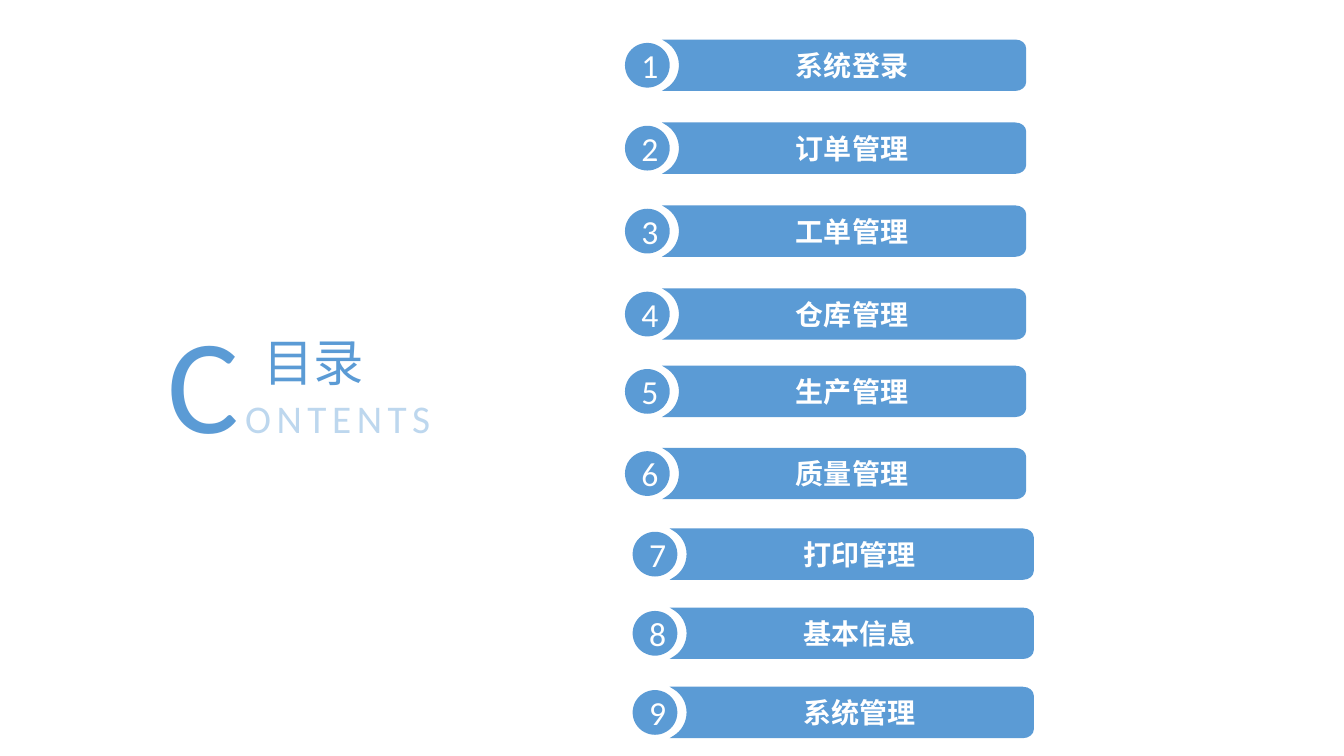
from pptx import Presentation
from pptx import util as u
from pptx.dml.color import RGBColor
from pptx.enum import shapes, text
from pptx.oxml.ns import qn

HUES = {"blue": "5B9BD5", "pale": "BDD7EE", "white": "FFFFFF"}
SANS, BOLD, HEAD = "Calibri", "Noto Sans CJK SC", "Noto Sans CJK JP"

deck = Presentation()
deck.slide_width, deck.slide_height = u.Inches(13.33), u.Inches(7.5)
COL, ROW = deck.slide_width / 100, deck.slide_height / 100

# Left, top and pitch of each run of entries, in columns and rows
RUNS = [
    (46.5, 5.23, 10.97, ["系统登录", "订单管理", "工单管理", "仓库管理"]),
    (46.5, 48.37, 10.87, ["生产管理", "质量管理"]),
    (47.07, 69.9, 10.47, ["打印管理", "基本信息", "系统管理"]),
]


def grid(x, y, w, h):
    return [round(n) for n in (x * COL, y * ROW, w * COL, h * ROW)]


def tint(hue):
    return RGBColor.from_string(HUES[hue])


def style(par, face, size, hue, bold=False):
    font = par.font
    font.name, font.size, font.bold = face, u.Pt(size), bold
    font.color.rgb = tint(hue)
    props = par._p.pPr.find(qn("a:defRPr"))
    east = props.makeelement(qn("a:ea"), {"typeface": face})
    props.find(qn("a:latin")).addnext(east)


def paint(shape, words, face, size, bold=False):
    shape.shadow.inherit = False
    shape.fill.solid()
    shape.fill.fore_color.rgb = tint("blue")
    shape.line.fill.background()
    frame = shape.text_frame
    frame.text = words
    frame.vertical_anchor = text.MSO_ANCHOR.MIDDLE
    par = frame.paragraphs[0]
    par.alignment = text.PP_ALIGN.CENTER
    style(par, face, size, "white", bold)
    return frame


def bend(shape, starts):
    """Join three line segments from each start into one Bézier curve."""
    lines = list(shape._element.iter(qn("a:lnTo")))
    for i in starts:
        curve = lines[i].makeelement(qn("a:cubicBezTo"), {})
        lines[i].addprevious(curve)
        for line in lines[i:i + 3]:
            curve.append(line[0])
            line.getparent().remove(line)


def entry(slide, box, num, words):
    x, y, w, h = box
    # Bar: rounded on the right, hollowed on the left around the badge
    end = w / h
    edge = [(end - 0.21, 0),
            (end - 0.09, 0), (end, 0.08), (end, 0.17),
            (end, 0.83),
            (end, 0.92), (end - 0.09, 1), (end - 0.21, 1),
            (0.72, 1), (0.8, 0.95),
            (0.95, 0.86), (1.05, 0.69), (1.05, 0.5),
            (1.05, 0.31), (0.95, 0.14), (0.8, 0.05)]
    pen = slide.shapes.build_freeform(x + 0.72 * h, y)
    pen.add_line_segments([(x + a * h, y + b * h) for a, b in edge], close=True)
    bar = pen.convert_to_shape()
    bend(bar, (1, 5, 10, 13))
    frame = paint(bar, words, BOLD, 20, True)
    frame.margin_left = u.Inches(0.2)
    frame.margin_top = frame.margin_right = frame.margin_bottom = u.Inches(0.04)
    # Numbered badge
    size = round(0.87 * h)
    badge = slide.shapes.add_shape(
        shapes.MSO_SHAPE.OVAL, x, y + (h - size) // 2, size, size)
    paint(badge, str(num), SANS, 24)


def heading(slide, box, top):
    # Large initial with the rest of the word
    frame = slide.shapes.add_textbox(*box).text_frame
    frame.word_wrap = True
    frame.vertical_anchor = text.MSO_ANCHOR.MIDDLE
    par = frame.paragraphs[0]
    style(par, SANS, 28, "pale")
    for words, size, hue in (("C", 96, "blue"), ("ONTENTS", 28, "pale")):
        run = par.add_run()
        run.text = words
        run.font.size, run.font.color.rgb = u.Pt(size), tint(hue)
        run._r.get_or_add_rPr().set("spc", "400")
    # Title
    title = slide.shapes.title
    title.left, title.top, title.width, title.height = top
    frame = title.text_frame
    frame.text = "目录"
    frame.word_wrap = True
    frame.auto_size = text.MSO_AUTO_SIZE.NONE
    frame.vertical_anchor = text.MSO_ANCHOR.MIDDLE
    par = frame.paragraphs[0]
    par.alignment = text.PP_ALIGN.LEFT
    style(par, HEAD, 36, "blue")


def agenda(slide):
    num = 0
    for x, y, pitch, names in RUNS:
        for i, name in enumerate(names):
            num += 1
            entry(slide, grid(x, y + i * pitch, 29.85, 6.8), num, name)


def main():
    slide = deck.slides.add_slide(deck.slide_layouts[5])
    heading(slide, grid(11.75, 39.33, 28.88, 21.73),
            grid(18.83, 43.07, 16.88, 9.33))
    agenda(slide)
    deck.save("out.pptx")


if __name__ == "__main__":
    main()
